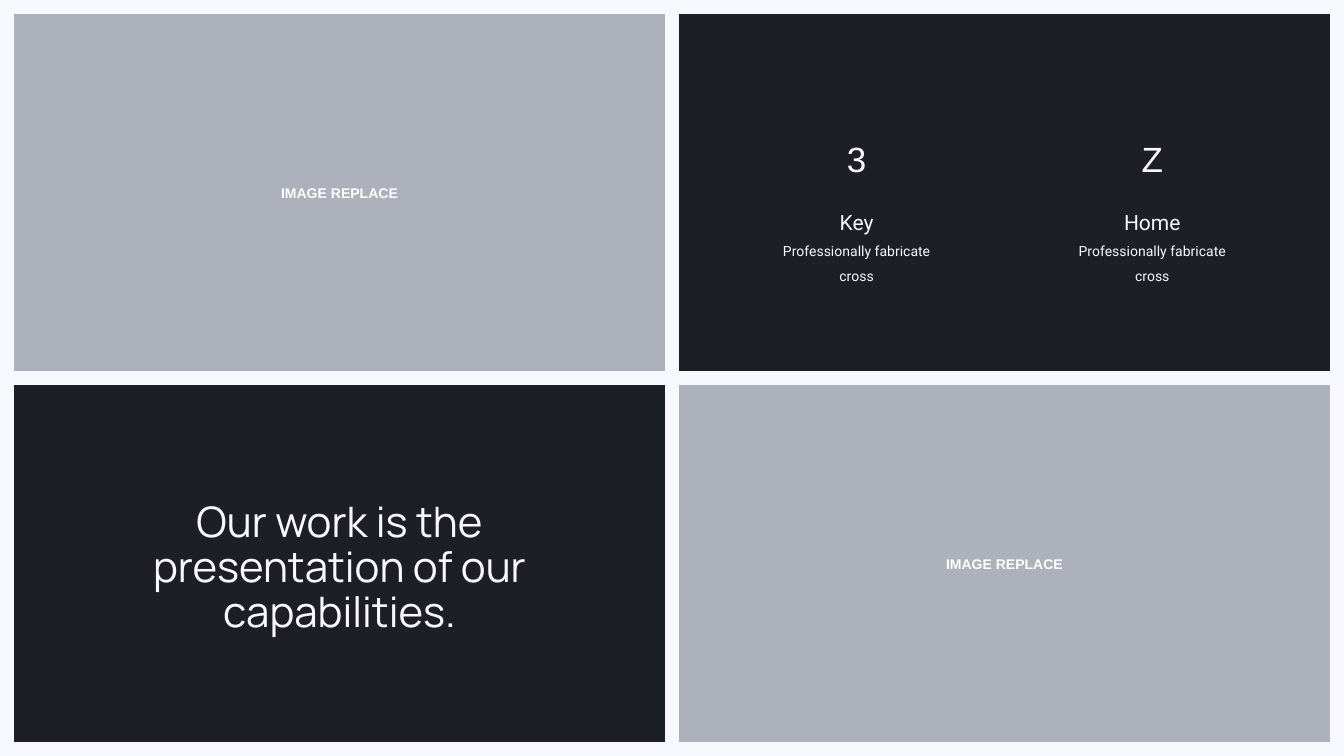
from pptx import Presentation
from pptx.dml.color import RGBColor
from pptx.enum.shapes import MSO_SHAPE
from pptx.enum.text import MSO_ANCHOR, MSO_AUTO_SIZE, PP_ALIGN
from pptx.oxml.xmlchemy import OxmlElement
from pptx.util import Inches, Pt

WIDTH, HEIGHT, GAP = 26.67, 15, 0.28
PANEL_W, PANEL_H = (WIDTH - 3 * GAP) / 2, (HEIGHT - 3 * GAP) / 2
COLUMNS = [GAP, 2 * GAP + PANEL_W]
ROWS = [GAP, 2 * GAP + PANEL_H]
DARK, GREY, LIGHT, WHITE = "1C1F25", "ACB1BB", "F7F9FF", "FFFFFF"


def color(hex_text):
    """Turn a hex string into a colour."""
    return RGBColor.from_string(hex_text)


def fill_text(holder, center, top, width, height, anchor, spacing, font, lines):
    """Place a placeholder around a centre line and write its sized lines."""
    holder.left, holder.top = Inches(center - width / 2), Inches(top)
    holder.width, holder.height = Inches(width), Inches(height)
    frame = holder.text_frame
    frame.margin_left = frame.margin_right = frame.margin_top = frame.margin_bottom = 0
    frame.word_wrap = True
    frame.auto_size = MSO_AUTO_SIZE.SHAPE_TO_FIT_TEXT
    frame.vertical_anchor = anchor
    frame.text = "\n".join(text for text, size in lines)
    for paragraph, (text, size) in zip(frame.paragraphs, lines):
        paragraph.alignment = PP_ALIGN.CENTER
        paragraph.line_spacing = spacing
        paragraph.space_before = paragraph.space_after = Pt(0)
        properties = paragraph._p.get_or_add_pPr()
        properties.set("marL", "0")
        properties.set("indent", "0")
        properties.append(OxmlElement("a:buNone"))
        paragraph.font.name, paragraph.font.size = font, Pt(size)
        paragraph.font.bold = False
        paragraph.font.color.rgb = color(LIGHT)


deck = Presentation()
deck.slide_width, deck.slide_height = Inches(WIDTH), Inches(HEIGHT)
slide = deck.slides.add_slide(deck.slide_layouts.get_by_name("Comparison"))
slide.background.fill.solid()
slide.background.fill.fore_color.rgb = color(LIGHT)

for row, top in enumerate(ROWS):
    for column, left in enumerate(COLUMNS):
        is_image_area = row == column
        panel = slide.shapes.add_shape(
            MSO_SHAPE.RECTANGLE, Inches(left), Inches(top), Inches(PANEL_W), Inches(PANEL_H))
        panel.shadow.inherit = False
        panel.fill.solid()
        panel.fill.fore_color.rgb = color(GREY if is_image_area else DARK)
        panel.line.fill.background()
        slide.shapes._spTree.insert(2, panel._element)
        if is_image_area:
            panel.text_frame.text = "IMAGE REPLACE"
            panel.text_frame.vertical_anchor = MSO_ANCHOR.MIDDLE
            label = panel.text_frame.paragraphs[0]
            label.alignment = PP_ALIGN.CENTER
            label.font.name, label.font.size, label.font.bold = "Arial", Pt(20), True
            label.font.color.rgb = color(WHITE)

statement, *feature_holders = slide.placeholders
fill_text(statement, COLUMNS[0] + PANEL_W / 2, 9.72, 9.86, 2.92, MSO_ANCHOR.BOTTOM, 0.9, "Manrope",
          [("Our work is the", 60), ("presentation of our", 60), ("capabilities.", 60)])

features = [("3", "Key"), ("Z", "Home")]
spread = 0.22 * WIDTH
for index, (symbol, heading) in enumerate(features):
    center = COLUMNS[1] + PANEL_W / 2 + (index - 0.5) * spread
    symbol_holder, caption_holder = feature_holders[2 * index:2 * index + 2]
    fill_text(symbol_holder, center, 2.57, 0.71, 0.73, MSO_ANCHOR.MIDDLE, 1.5, "Arial",
              [(symbol, 50)])
    fill_text(caption_holder, center, 3.9, 3.62, 1.17, MSO_ANCHOR.TOP, 1.5, "Roboto",
              [(heading, 30), ("Professionally fabricate cross", 20)])

deck.save("out.pptx")
